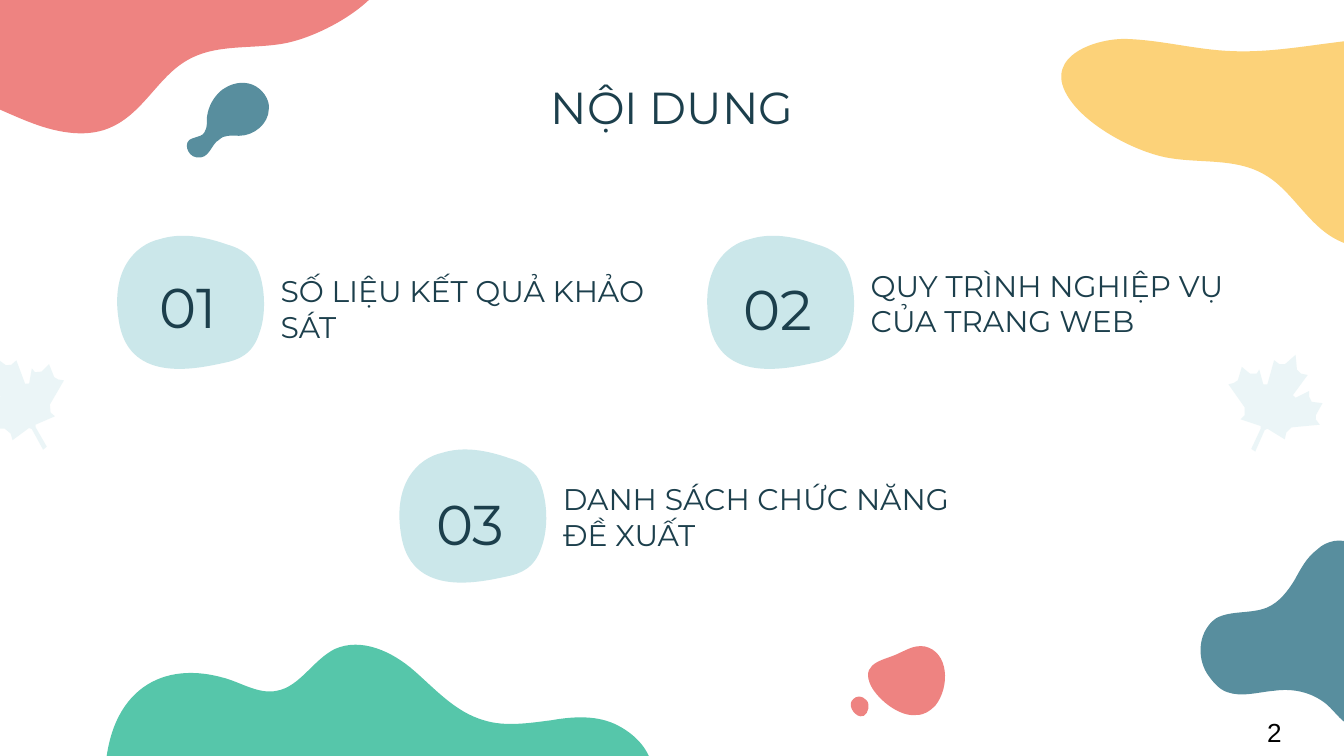
from math import cos, radians, sin

from lxml.etree import SubElement
from pptx import Presentation
from pptx.dml.color import RGBColor
from pptx.enum.text import MSO_ANCHOR as Anchor, PP_ALIGN as Align
from pptx.oxml.ns import qn
from pptx.util import Inches, Pt

GREEN = RGBColor(0x56, 0xC6, 0xAA)
YELLOW = RGBColor(0xFC, 0xD2, 0x79)
CORAL = RGBColor(0xEE, 0x83, 0x81)
TEAL = RGBColor(0x58, 0x8E, 0x9E)
PALE = RGBColor(0xCB, 0xE7, 0xEA)
INK = RGBColor(0x1C, 0x3F, 0x4C)
BLACK = RGBColor(0, 0, 0)

# Curved outlines: a start point, then two control points and an end per curve,
# in inches from the origin at which the outline is placed
HILL = [
    (0.78, 1.83), (0.78, 2.48), (1.17, 2.74), (1.65, 2.62), (1.78, 2.58), (1.92, 2.49),
    (2.06, 2.51), (2.23, 2.54), (2.33, 2.74), (2.49, 2.82), (2.69, 2.91), (2.84, 2.82),
    (3, 2.68), (3.16, 2.54), (3.35, 2.44), (3.56, 2.38), (3.72, 2.33), (3.94, 2.28),
    (4.1, 2.3), (4.27, 2.32), (4.45, 2.33), (4.6, 2.25), (4.75, 2.17), (4.87, 2.04),
    (4.87, 1.83), (4.87, 1.61), (4.75, 1.48), (4.6, 1.4), (4.45, 1.32), (4.27, 1.33),
    (4.1, 1.36), (3.94, 1.38), (3.76, 1.41), (3.6, 1.36), (3.39, 1.3), (3.24, 1.13),
    (3.08, 0.99), (2.92, 0.85), (2.69, 0.74), (2.49, 0.83), (2.33, 0.91), (2.23, 1.11),
    (2.06, 1.14), (1.92, 1.17), (1.78, 1.07), (1.65, 1.04), (1.17, 0.91), (0.78, 1.17),
    (0.78, 1.83)]
WAVE = [
    (1.67, 1.17), (1.92, 1.22), (2.19, 1.17), (2.41, 1.3), (2.62, 1.42), (2.73, 1.68),
    (2.96, 1.79), (3.14, 1.88), (3.36, 1.84), (3.55, 1.77), (3.74, 1.7), (3.92, 1.6),
    (4.11, 1.55), (4.39, 1.48), (4.71, 1.52), (4.94, 1.34), (5.16, 1.18), (5.21, 0.86),
    (5.1, 0.61), (4.99, 0.36), (4.73, 0.2), (4.46, 0.16), (4.3, 0.14), (4.13, 0.16),
    (3.96, 0.19), (3.58, 0.24), (3.2, 0.28), (2.82, 0.33), (2.6, 0.36), (2.38, 0.39),
    (2.16, 0.38), (1.9, 0.37), (1.65, 0.3), (1.39, 0.29), (1.17, 0.28), (0.76, 0.41),
    (0.94, 0.71), (1.07, 0.93), (1.43, 1.12), (1.67, 1.17)]
CORNER = [
    (2.06, 0.05), (1.99, 0), (1.87, 0.02), (1.8, 0.09), (1.72, 0.15), (1.68, 0.23),
    (1.63, 0.32), (1.58, 0.4), (1.52, 0.48), (1.43, 0.52), (1.31, 0.57), (1.16, 0.54),
    (1.05, 0.6), (0.92, 0.69), (0.9, 0.88), (0.98, 1.01), (1.02, 1.07), (1.07, 1.13),
    (1.13, 1.15), (1.24, 1.19), (1.36, 1.15), (1.48, 1.14), (1.62, 1.12), (1.76, 1.15),
    (1.87, 1.24), (1.94, 1.3), (1.99, 1.39), (2.08, 1.41)]
BADGE = [
    (0.88, 0.09), (0.95, 0.11), (1.02, 0.14), (1.08, 0.22), (1.16, 0.34), (1.18, 0.59),
    (1.12, 0.75), (1.07, 0.91), (0.96, 0.95), (0.86, 0.97), (0.67, 1.01), (0.17, 1.13),
    (0.08, 0.69), (0, 0.28), (0.2, 0.09), (0.38, 0.05), (0.54, 0), (0.71, 0.03),
    (0.88, 0.09)]
PEBBLE = [
    (0.96, 1.25), (1.07, 1.11), (1.06, 0.85), (0.88, 0.81), (0.8, 0.8), (0.76, 0.83),
    (0.69, 0.86), (0.6, 0.91), (0.41, 0.92), (0.47, 1.08), (0.51, 1.19), (0.69, 1.34),
    (0.82, 1.32), (0.88, 1.32), (0.92, 1.29), (0.96, 1.25)]
DOT = [
    (0.35, 1.2), (0.3, 1.24), (0.35, 1.32), (0.4, 1.33), (0.44, 1.34), (0.47, 1.28),
    (0.46, 1.24), (0.46, 1.22), (0.44, 1.2), (0.42, 1.19), (0.4, 1.18), (0.37, 1.18),
    (0.35, 1.2)]
DROP = [
    (0.63, 1.04), (0.67, 1), (0.72, 1.01), (0.78, 1.01), (0.89, 1.01), (1, 0.92),
    (1, 0.81), (1.01, 0.74), (0.95, 0.66), (0.88, 0.63), (0.8, 0.6), (0.72, 0.62),
    (0.65, 0.67), (0.59, 0.72), (0.55, 0.79), (0.54, 0.87), (0.54, 0.93), (0.54, 0.99),
    (0.49, 1.01), (0.47, 1.02), (0.45, 1.02), (0.43, 1.03), (0.36, 1.05), (0.39, 1.16),
    (0.46, 1.17), (0.56, 1.19), (0.57, 1.07), (0.63, 1.04)]

# Straight-sided leaf, in inches from its centre
LEAF = [
    (0.16, -0.36), (0.08, -0.29), (0.04, -0.29), (0, -0.32), (-0.05, -0.14),
    (-0.08, -0.14), (-0.11, -0.25), (-0.13, -0.22), (-0.18, -0.22), (-0.24, -0.27),
    (-0.27, -0.17), (-0.3, -0.15), (-0.34, -0.14), (-0.22, 0.03), (-0.22, 0.09),
    (-0.25, 0.12), (-0.1, 0.17), (-0.1, 0.19), (-0.17, 0.34), (-0.14, 0.36),
    (-0.07, 0.2), (-0.05, 0.19), (0.08, 0.27), (0.09, 0.22), (0.13, 0.18),
    (0.34, 0.16), (0.31, 0.12), (0.31, 0.09), (0.36, 0), (0.28, -0.01),
    (0.26, -0.05), (0.26, -0.09), (0.16, -0.04), (0.14, -0.06), (0.25, -0.21),
    (0.2, -0.22), (0.17, -0.25)]

# number, label, left, top, number offset, label offset, label width
TOPICS = [
    ("03", "DANH SÁCH CHỨC NĂNG ĐỀ XUẤT", 2.91, 3.32, 0.12, 0.32, 3.21),
    ("02", "QUY TRÌNH NGHIỆP VỤ CỦA TRANG WEB", 5.2, 1.73, 0.11, 0.32, 3.21),
    ("01", "SỐ LIỆU KẾT QUẢ KHẢO SÁT", 0.81, 1.73, 0.1, 0.36, 2.93),
]


def turned(x, y, degrees):
    c, s = cos(radians(degrees)), sin(radians(degrees))
    return x * c - y * s, x * s + y * c


def bend(outline):
    """Join each three line segments into one cubic curve."""
    lines = list(outline._element.iter(qn("a:lnTo")))
    for first, second, end in zip(*[iter(lines)] * 3):
        curve = SubElement(first.getparent(), qn("a:cubicBezTo"))
        first.addprevious(curve)
        for line in (first, second, end):
            curve.append(line[0])
            line.getparent().remove(line)


def add_outline(shapes, points, left, top, color, flip=1, turn=0, rotation=0,
                curved=True, opacity=None):
    """Place a closed outline, mirrored if flip is -1; its frame has a rotation."""
    placed = []
    for x, y in points:
        x, y = turned(flip * x, y, turn)
        x, y = turned(left + x, top + y, -rotation)
        placed.append((Inches(x), Inches(y)))
    builder = shapes.build_freeform(*placed[0])
    builder.add_line_segments(placed[1:], close=True)
    outline = builder.convert_to_shape()
    if curved:
        bend(outline)
    # Move the frame's centre to where its rotation puts it
    half_width, half_height = outline.width / 2, outline.height / 2
    x, y = turned(outline.left + half_width, outline.top + half_height, rotation)
    outline.left, outline.top = round(x - half_width), round(y - half_height)
    outline.rotation = rotation
    outline.shadow.inherit = False
    outline.fill.solid()
    outline.fill.fore_color.rgb = color
    outline.line.fill.background()
    if opacity is not None:
        tint = outline.fill._xPr.find(qn("a:solidFill"))[0]
        SubElement(tint, qn("a:alpha"), val=str(opacity * 1000))


def add_text(slide, text, left, top, width, height, size, font="Montserrat",
             color=INK, align=Align.LEFT, anchor=Anchor.MIDDLE, inset=0.1):
    box = slide.shapes.add_textbox(*map(Inches, (left, top, width, height)))
    frame = box.text_frame
    frame.word_wrap = True
    frame.vertical_anchor = anchor
    frame.margin_top = frame.margin_bottom = Inches(inset)
    paragraph = frame.paragraphs[0]
    paragraph.alignment = align
    run = paragraph.add_run()
    run.text = text
    run.font.size = Pt(size)
    run.font.name = font
    run.font.color.rgb = color


def add_backdrop(slide, width):
    """Large blobs on the edges and a pair of mirrored leaves."""
    shapes = slide.shapes
    leaf = {"curved": False, "opacity": 38}
    add_outline(shapes, HILL, 0, 4, GREEN, rotation=90)
    add_outline(shapes, WAVE, width - 3, 0, YELLOW, rotation=174.5)
    add_outline(shapes, WAVE, 3.8, -0.85, CORAL, flip=-1, rotation=185.5)
    add_outline(shapes, CORNER, width - 2, 4, TEAL)
    add_outline(shapes, LEAF, width - 0.52, 3, PALE, rotation=29.5, **leaf)
    add_outline(shapes, LEAF, 0.15, 3, PALE, flip=-1, turn=-5, rotation=335.6, **leaf)


def add_topic(slide, number, label, left, top, number_offset, label_offset, label_width):
    """Numbered badge with its label on the right."""
    add_outline(slide.shapes, BADGE, left, top, PALE)
    add_text(slide, number, left + 0.18, top + number_offset, 0.82, 0.9, 30,
             align=Align.CENTER)
    add_text(slide, label, left + 1.18, top + label_offset, label_width, 0.41, 16)


def add_splashes(slide):
    """Small drops in front of the backdrop."""
    pebbles = slide.shapes.add_group_shape()
    for outline in (PEBBLE, DOT):
        add_outline(pebbles.shapes, outline, 6, 4, CORAL, rotation=100.6)
    add_outline(slide.shapes, DROP, 1, 0, TEAL, rotation=206.5)


def main():
    deck = Presentation()
    width = 10
    deck.slide_width, deck.slide_height = Inches(width), Inches(width * 9 / 16)
    slide = deck.slides.add_slide(deck.slide_layouts[6])

    add_backdrop(slide, width)
    add_text(slide, "NỘI DUNG", 0.78, 0.59, 8.44, 0.41, 24, align=Align.CENTER)
    for topic in TOPICS:
        add_topic(slide, *topic)
    add_splashes(slide)

    # Page number
    add_text(slide, "2", 9.33, 5.28, 0.67, 0.34, 14, font="Arial", color=BLACK,
             anchor=Anchor.TOP, inset=0.05)
    deck.save("out.pptx")


if __name__ == "__main__":
    main()
